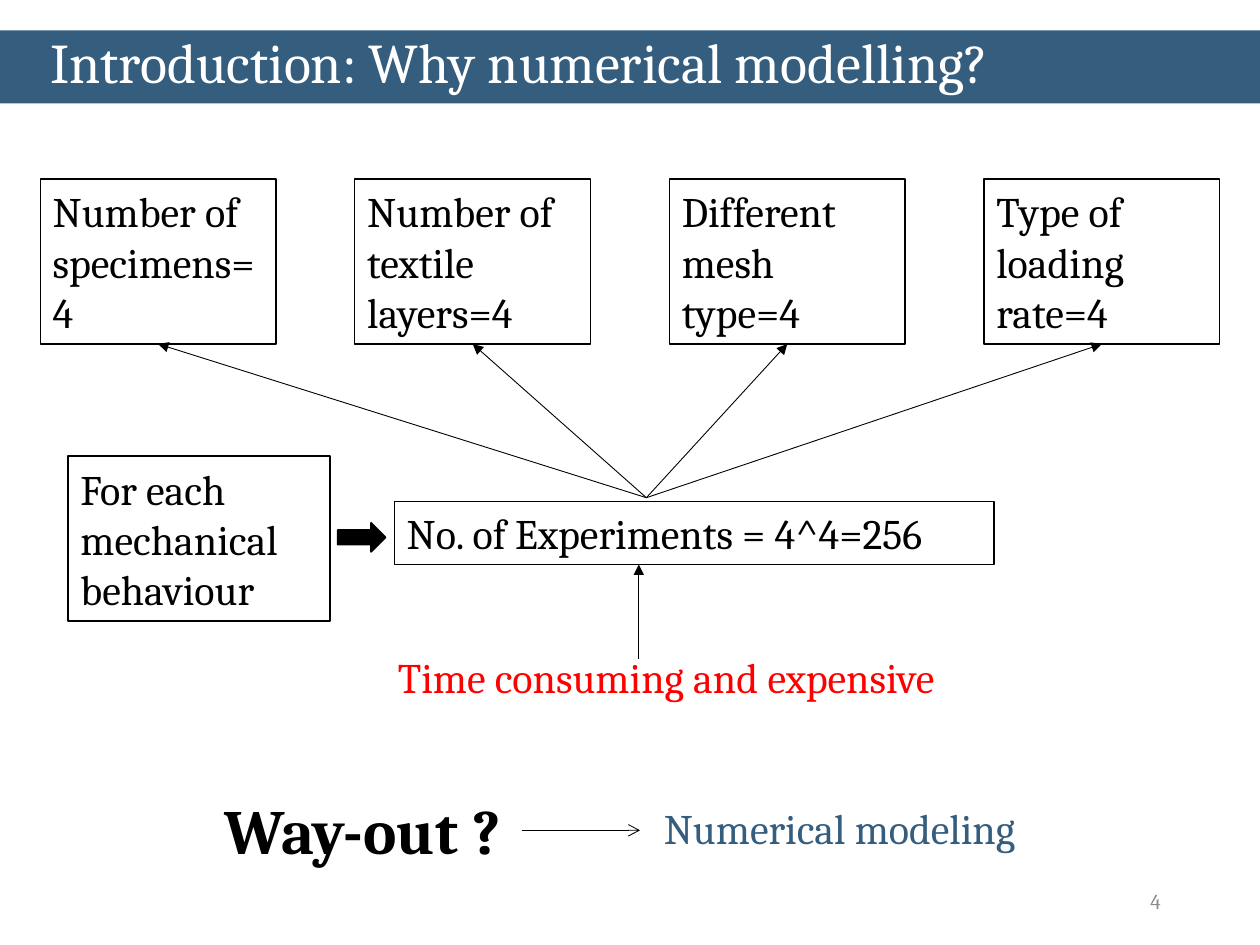
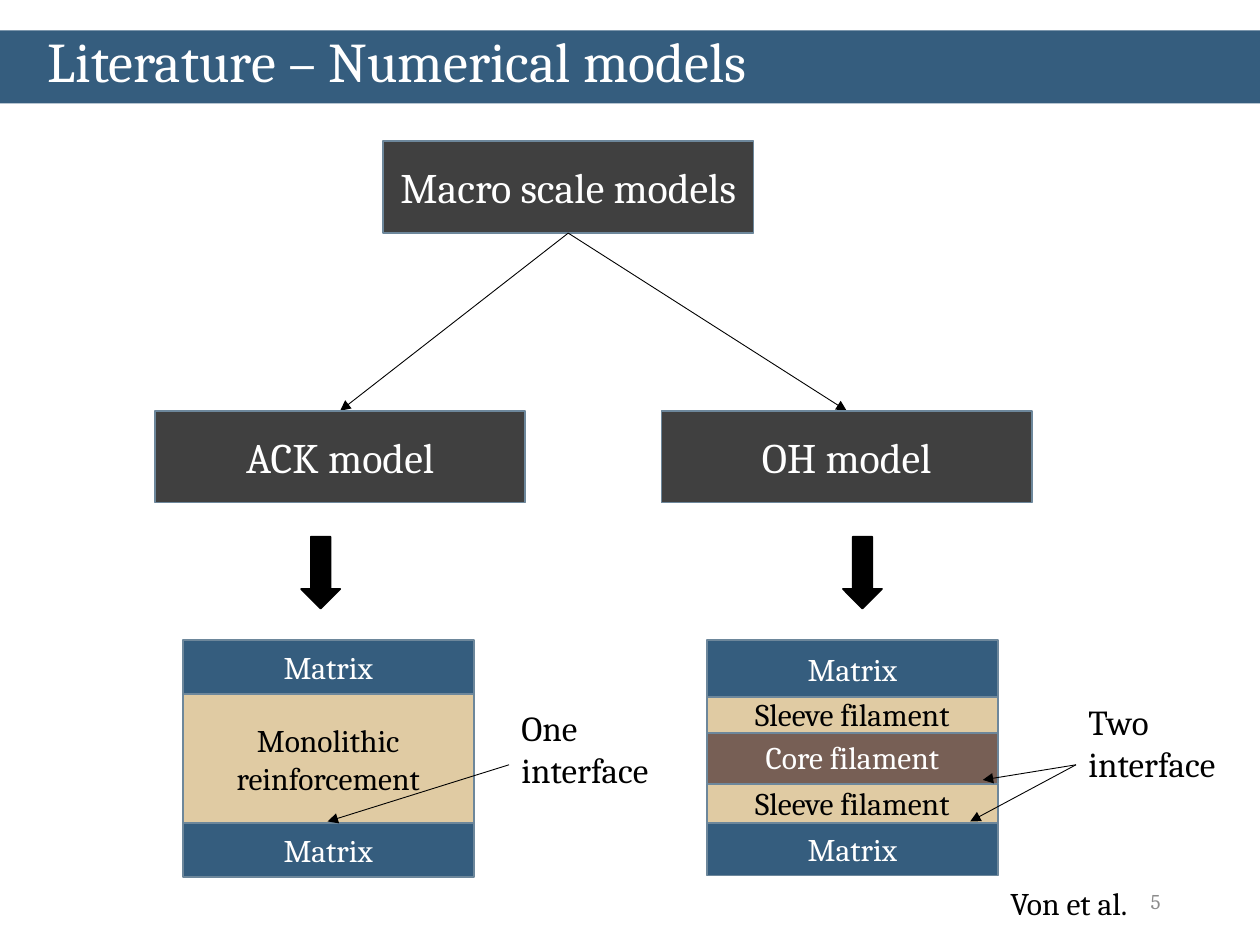
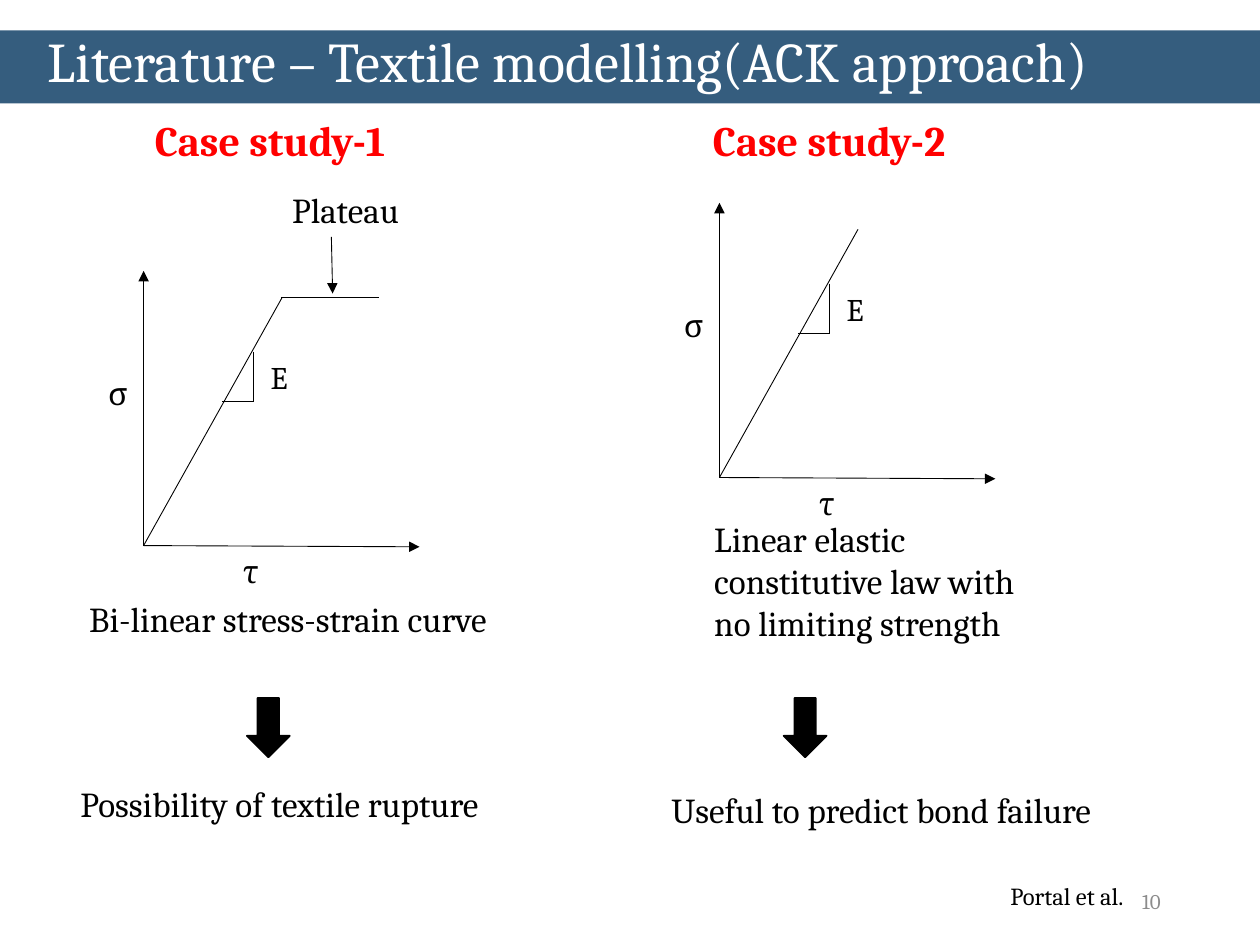
from pptx import Presentation
from pptx.dml.color import RGBColor
from pptx.enum.shapes import MSO_CONNECTOR, MSO_SHAPE
from pptx.enum.text import MSO_ANCHOR, PP_ALIGN
from pptx.oxml.ns import qn
from pptx.util import Inches, Pt
from lxml import etree

RECT, DOWN, RIGHT = MSO_SHAPE.RECTANGLE, MSO_SHAPE.DOWN_ARROW, MSO_SHAPE.RIGHT_ARROW
STRAIGHT = MSO_CONNECTOR.STRAIGHT
TOP, MIDDLE = MSO_ANCHOR.TOP, MSO_ANCHOR.MIDDLE
ALIGN_LEFT, ALIGN_CENTER, ALIGN_RIGHT = PP_ALIGN.LEFT, PP_ALIGN.CENTER, PP_ALIGN.RIGHT

FONT = "Cambria"
BLUE = RGBColor(0x35, 0x5D, 0x7E)
EDGE = RGBColor(0x6D, 0x87, 0x9B)
CHARCOAL = RGBColor(0x40, 0x40, 0x40)
SAND = RGBColor(0xE0, 0xCB, 0xA3)
BROWN = RGBColor(0x77, 0x5F, 0x55)
RED = RGBColor(0xFF, 0x00, 0x00)
GREY = RGBColor(0x8C, 0x8C, 0x8C)
BLACK = RGBColor(0x00, 0x00, 0x00)
WHITE = RGBColor(0xFF, 0xFF, 0xFF)

FACTORS = ["Number of specimens=4", "Number of textile layers=4",
           "Different mesh type=4", "Type of loading rate=4"]
FACTOR_LEFT, FACTOR_TOP, FACTOR_W, BOX_H = 0.32, 1.42, 1.87, 1.31
FACTOR_STEP = (10 - 2 * FACTOR_LEFT - FACTOR_W) / (len(FACTORS) - 1)
FAN_START = (5.13, 3.95)

MODEL_W, MODEL_H, MODEL_TOP = 2.94, 0.73, 3.26
ROOT_LEFT, ROOT_TOP = 3.04, 1.12
LAYER_W = 2.31
MODELS = [
    {"name": "ACK model", "left": 1.23, "arrow": 2.39, "stack": 1.45,
     "layers": [("Matrix", 5.08, 0.43, BLUE, WHITE),
                ("Monolithic reinforcement", 5.51, 1.02, SAND, BLACK),
                ("Matrix", 6.53, 0.43, BLUE, WHITE)],
     "note": ("One interface", 4.04, 5.56, 1.36),
     "targets": [(2.6, 6.52)]},
    {"name": "OH model", "left": 5.25, "arrow": 6.69, "stack": 5.61,
     "layers": [("Matrix", 5.08, 0.45, BLUE, WHITE),
                ("Sleeve filament", 5.51, 0.31, SAND, BLACK),
                ("Core filament", 5.79, 0.43, BROWN, WHITE),
                ("Sleeve filament", 6.22, 0.31, SAND, BLACK),
                ("Matrix", 6.52, 0.43, BLUE, WHITE)],
     "note": ("Two interface", 8.54, 5.51, 1.46),
     "targets": [(7.7, 6.52), (7.8, 6.19)]},
]

CASES = [
    {"title": "Case study-1", "title_left": 1.13, "origin": (1.14, 4.33),
     "law": ("Bi-linear stress-strain curve", 0.61, 4.69, 3.81, 0.44),
     "arrow": 1.96,
     "result": ("Possibility of textile rupture", 0.54, 6.16, 3.53, 0.44)},
    {"title": "Case study-2", "title_left": 5.56, "origin": (5.71, 3.79),
     "law": ("Linear elastic constitutive law with no limiting strength",
             5.57, 4.06, 2.71, 1.11),
     "arrow": 6.22,
     "result": ("Useful to predict bond failure", 5.23, 6.21, 3.65, 0.44)},
]
CURVE_LINES = [
    ((0, 0), (0, -2.18), "triangle"),
    ((0, 0), (2.19, 0.01), "triangle"),
    ((0, 0), (1.1, -1.97), None),
    ((0.87, -1.54), (0.87, -1.14), None),
    ((0.87, -1.14), (0.62, -1.14), None),
]
CURVE_LABELS = [("σ", -0.38, -1.41, 0.72), ("τ", 0.69, 0, 0.32), ("E", 0.91, -1.54, 0.35)]

prs = Presentation()
prs.slide_width, prs.slide_height = Inches(10), Inches(7.5)


def write(sp, text, size, color, align=ALIGN_LEFT, anchor=TOP, bold=False):
    tf = sp.text_frame
    tf.word_wrap = True
    tf.vertical_anchor = anchor
    p = tf.paragraphs[0]
    p.alignment = align
    r = p.add_run()
    r.text = text
    r.font.name, r.font.size, r.font.bold = FONT, Pt(size), bold
    r.font.color.rgb = color


def add_text(s, text, x, y, w, h, size, color=BLACK, **style):
    write(s.shapes.add_textbox(*map(Inches, (x, y, w, h))), text, size, color, **style)


def add_block(s, x, y, w, h, fill=None, edge=None, weight=1, kind=RECT):
    sp = s.shapes.add_shape(kind, *map(Inches, (x, y, w, h)))
    sp.shadow.inherit = False
    if fill is None:
        sp.fill.background()
    else:
        sp.fill.solid()
        sp.fill.fore_color.rgb = fill
    if edge is None:
        sp.line.fill.background()
    else:
        sp.line.color.rgb = edge
        sp.line.width = Pt(weight)
    return sp


def add_framed(s, text, x, y, w, h, anchor=MIDDLE):
    write(add_block(s, x, y, w, h, edge=BLACK, weight=0.75), text, 24, BLACK, anchor=anchor)


def add_filled(s, text, x, y, w, h, fill, size, color=WHITE):
    write(add_block(s, x, y, w, h, fill, EDGE), text, size, color, ALIGN_CENTER, MIDDLE)


def add_line(s, start, end, head=None):
    c = s.shapes.add_connector(STRAIGHT, *map(Inches, (*start, *end)))
    c.line.color.rgb = BLACK
    c.line.width = Pt(0.5)
    if head:
        etree.SubElement(c.line._get_or_add_ln(), qn("a:tailEnd"), type=head)
    etree.SubElement(c._element.spPr, qn("a:effectLst"))


def add_slide(title, number, left=0.28, top=0.16):
    s = prs.slides.add_slide(prs.slide_layouts[6])
    add_block(s, 0, 0.24, 10, 0.58, BLUE)
    add_text(s, title, left, top, 9.2, 0.64, 32, WHITE)
    add_text(s, number, 7.06, 6.95, 2.25, 0.4, 12, GREY, align=ALIGN_RIGHT, anchor=MIDDLE)
    return s


def build_introduction():
    s = add_slide("Introduction: Why numerical modelling?", "4", 0.3, 0.17)
    for i, factor in enumerate(FACTORS):
        x = FACTOR_LEFT + i * FACTOR_STEP
        add_framed(s, factor, x, FACTOR_TOP, FACTOR_W, BOX_H)
        add_line(s, FAN_START, (x + FACTOR_W / 2, FACTOR_TOP + BOX_H), "triangle")
    add_framed(s, "No. of Experiments = 4^4=256", 3.13, 3.98, 4.76, 0.5, TOP)
    add_framed(s, "For each mechanical behaviour", 0.54, 3.62, 2.08, BOX_H)
    add_block(s, 2.68, 4.15, 0.38, 0.23, BLACK, BLACK, kind=RIGHT)
    add_line(s, (5.07, 5.23), (5.07, 4.48), "triangle")
    add_text(s, "Time consuming and expensive", 3.06, 5.12, 4.7, 0.5, 24, RED)
    add_text(s, "Way-out ?", 1.68, 6.23, 2.47, 0.71, 36, bold=True)
    add_line(s, (4.14, 6.59), (5.08, 6.59), "arrow")
    add_text(s, "Numerical modeling", 5.17, 6.32, 3.42, 0.5, 24, BLUE)


def build_models():
    s = add_slide("Literature – Numerical models", "5")
    add_filled(s, "Macro scale models", ROOT_LEFT, ROOT_TOP, MODEL_W, MODEL_H, CHARCOAL, 24)
    root = (ROOT_LEFT + MODEL_W / 2, ROOT_TOP + MODEL_H)
    for model in MODELS:
        add_line(s, root, (model["left"] + MODEL_W / 2, MODEL_TOP), "triangle")
        add_filled(s, model["name"], model["left"], MODEL_TOP, MODEL_W, MODEL_H, CHARCOAL, 24)
        add_block(s, model["arrow"], 4.26, 0.31, 0.57, BLACK, BLACK, kind=DOWN)
        for text, y, h, fill, color in reversed(model["layers"]):
            add_filled(s, text, model["stack"], y, LAYER_W, h, fill, 18, color)
        note, x, y, w = model["note"]
        for target in model["targets"]:
            add_line(s, (x, 6.07), target, "triangle")
        add_text(s, note, x, y, w, 0.77, 20)
    add_text(s, "Von et al.", 7.92, 6.97, 1.18, 0.4, 18)


def add_curve(s, origin):
    ox, oy = origin
    for (x1, y1), (x2, y2), head in CURVE_LINES:
        add_line(s, (ox + x1, oy + y1), (ox + x2, oy + y2), head)
    for text, dx, dy, w in CURVE_LABELS:
        add_text(s, text, ox + dx, oy + dy, w, 0.4, 18)


def build_cases():
    s = add_slide("Literature – Textile modelling(ACK approach)", "10")
    for case in CASES:
        add_text(s, case["title"], case["title_left"], 0.86, 2.15, 0.5, 24, RED, bold=True)
        add_curve(s, case["origin"])
        add_text(s, *case["law"], 20)
        add_block(s, case["arrow"], 5.54, 0.34, 0.47, BLACK, BLACK, kind=DOWN)
        add_text(s, *case["result"], 20)
    add_line(s, (2.23, 2.36), (3.01, 2.36))
    add_line(s, (2.63, 1.88), (2.64, 2.33), "triangle")
    add_text(s, "Plateau", 2.22, 1.45, 1.09, 0.44, 20)
    add_text(s, "Portal et al.", 7.92, 6.94, 1.15, 0.34, 14)


def main():
    build_introduction()
    build_models()
    build_cases()
    prs.save("out.pptx")


if __name__ == "__main__":
    main()
